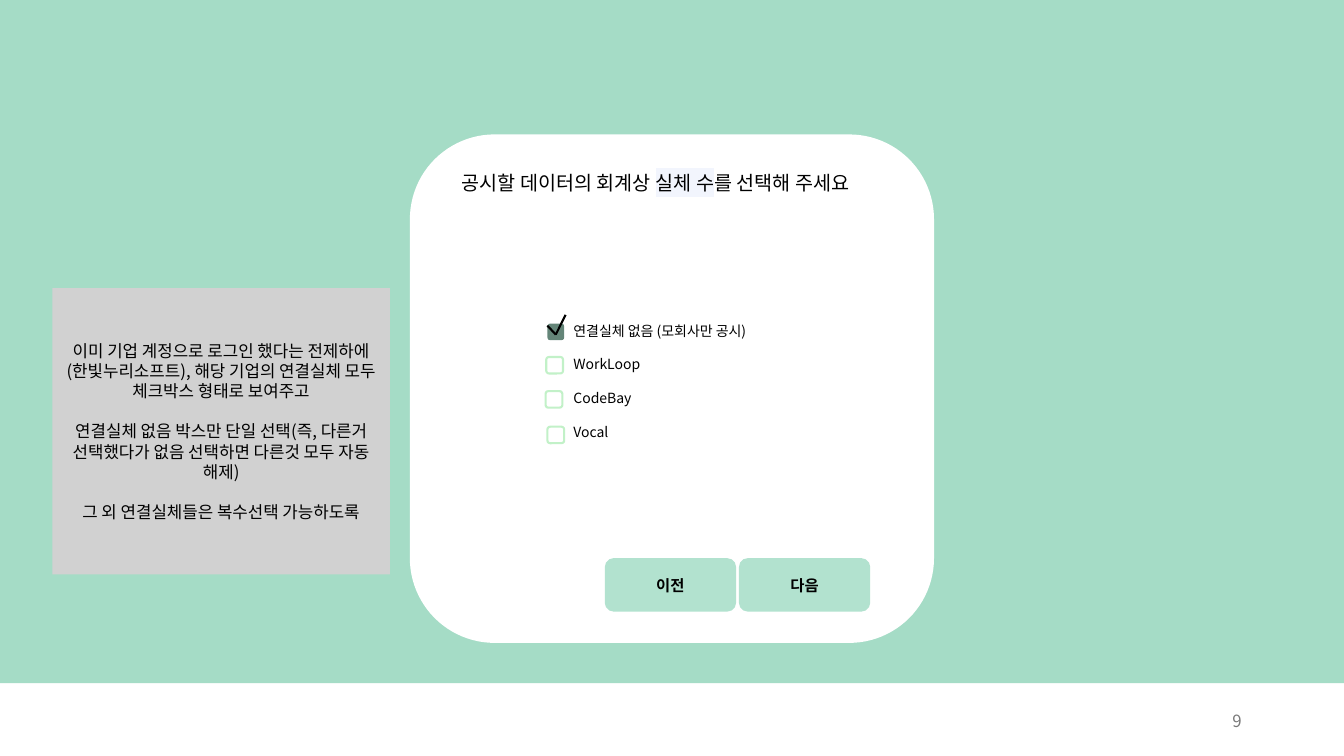
from pptx import Presentation
from pptx.dml.color import RGBColor
from pptx.enum.shapes import MSO_CONNECTOR as Connector, MSO_SHAPE as Shape
from pptx.enum.text import MSO_ANCHOR as Anchor, MSO_AUTO_SIZE as AutoSize, PP_ALIGN as Align
from pptx.oxml.ns import qn
from pptx.util import Pt
from lxml import etree

SANS = "Noto Sans CJK KR"


def add_box(kind, left, top, width, height, fill=None, line=None):
    box = slide.shapes.add_shape(kind, Pt(left), Pt(top), Pt(width), Pt(height))
    box.shadow.inherit = False
    for part, color in ((box.fill, fill), (box.line.fill, line)):
        if color:
            part.solid()
            part.fore_color.rgb = RGBColor.from_string(color)
        else:
            part.background()
    if line:
        box.line.width = Pt(1.5)
    return box


def write(box, lines, size, align=Align.LEFT, color="000000", font=SANS,
          bold=False, pitch=None, anchor=Anchor.MIDDLE):
    frame = box.text_frame
    frame.word_wrap = True
    frame.vertical_anchor = anchor
    frame.text = "\n".join(lines)
    for number, para in enumerate(frame.paragraphs):
        para.alignment = align
        if pitch:
            para.line_spacing = Pt(pitch)
            para.space_before = Pt(pitch if number else 0)
        para.font.size = Pt(size)
        para.font.name = font
        para.font.bold = bold
        para.font.color.rgb = RGBColor.from_string(color)


deck = Presentation()
deck.slide_width, deck.slide_height = Pt(960), Pt(540)
slide = deck.slides.add_slide(deck.slide_layouts[5])

# Backdrop and card
add_box(Shape.RECTANGLE, 0, 0, 960, 488, "A5DCC6")
add_box(Shape.ROUNDED_RECTANGLE, 292.8, 96, 374.4, 363.2, "FFFFFF")

# Question, brought in front of the card
title = slide.shapes.title
title.left, title.top, title.width, title.height = Pt(322.5), Pt(118.8), Pt(310), Pt(24.5)
title.element.getparent().append(title.element)
write(title, [""], 14, font="Cambria", anchor=Anchor.TOP)
title.text_frame.auto_size = AutoSize.NONE
question = title.text_frame.paragraphs[0]
for words in ("공시할 데이터의 회계상 ", "실체 수", "를 선택해 주세요"):
    span = question.add_run()
    span.text = words
    if words == "실체 수":
        span.font.color.rgb = RGBColor.from_string("000000")
        highlight = etree.SubElement(span.font.fill._xPr, qn("a:highlight"))
        etree.SubElement(highlight, qn("a:srgbClr"), val="F2F5FD")

# Buttons
for left, label in ((432, "이전"), (527.8, "다음")):
    button = add_box(Shape.ROUNDED_RECTANGLE, left, 398.7, 93.8, 38.2, "B2E2CF")
    write(button, [label], 11, Align.CENTER, bold=True)

# Explanatory note
note = add_box(Shape.RECTANGLE, 37.5, 205.8, 241, 204.5, "D1D1D1")
write(note, [
    "이미 기업 계정으로 로그인 했다는 전제하에(한빛누리소프트), "
    "해당 기업의 연결실체 모두 체크박스 형태로 보여주고",
    "연결실체 없음 박스만 단일 선택(즉, 다른거 선택했다가 "
    "없음 선택하면 다른것 모두 자동 해제)",
    "그 외 연결실체들은 복수선택 가능하도록",
], 12, Align.CENTER, pitch=14.4)

# Options
options = slide.shapes.add_textbox(Pt(402.5), Pt(226.8), Pt(178.5), Pt(92))
write(options, ["연결실체 없음 (모회사만 공시)", "WorkLoop", "CodeBay", "Vocal"],
      10, pitch=12, anchor=Anchor.TOP)

# Checkboxes, the first one ticked
add_box(Shape.ROUNDED_RECTANGLE, 391, 231.2, 12, 11.8, "648578")
for left, top in ((390.2, 255), (389.7, 279.4), (391, 304.8)):
    add_box(Shape.ROUNDED_RECTANGLE, left, top, 12, 11.8, line="C2F1C8")
for left, top in ((391, 232.6), (404, 224.9)):
    stroke = slide.shapes.add_connector(Connector.STRAIGHT, Pt(left), Pt(top), Pt(397), Pt(239))
    stroke.line.width = Pt(1.5)
    stroke.line.color.rgb = RGBColor.from_string("000000")
    etree.SubElement(stroke.element.spPr, qn("a:effectLst"))

# Page number
page_number = slide.shapes.add_textbox(Pt(678), Pt(500.5), Pt(216), Pt(28.8))
write(page_number, ["9"], 12, Align.RIGHT, "797979")

deck.save("out.pptx")
